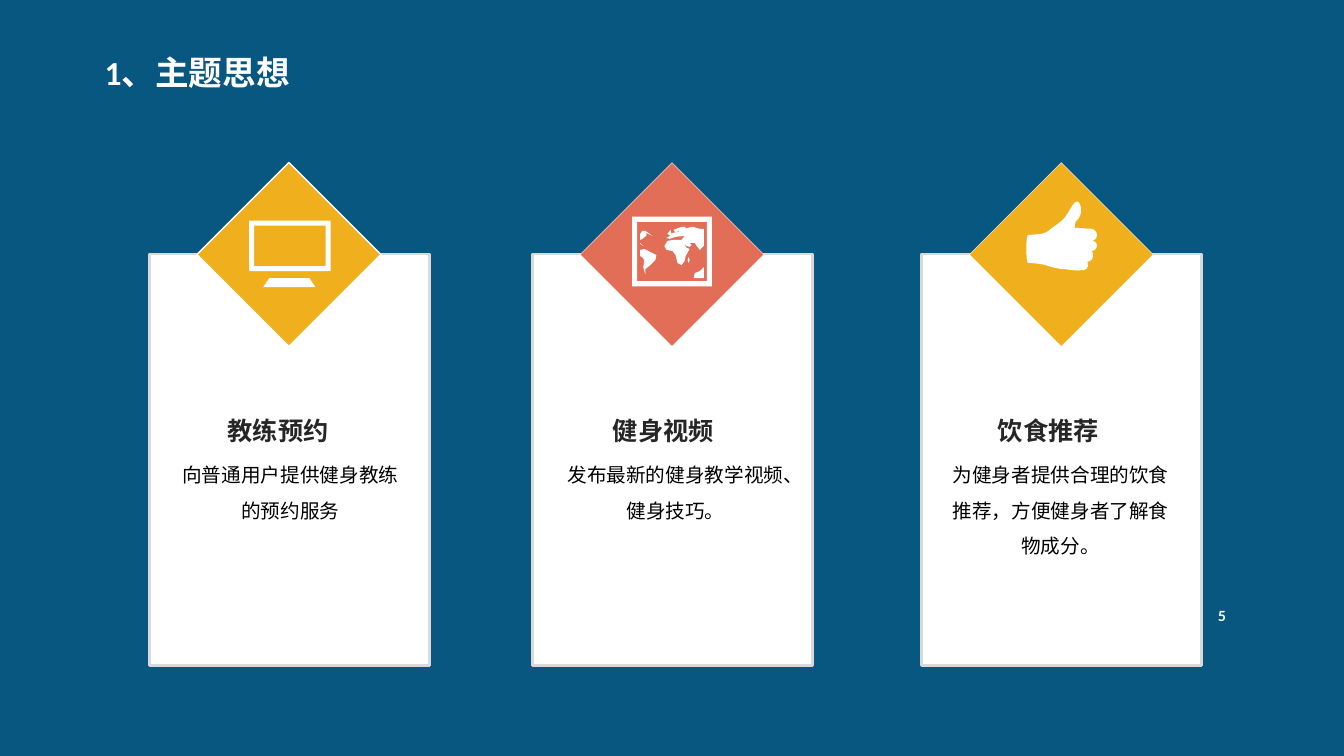
from dataclasses import dataclass

from lxml import etree
from pptx import Presentation
from pptx import util as u
from pptx.dml.color import RGBColor
from pptx.enum import shapes, text
from pptx.oxml.ns import qn

PX = 9144  # 100 px to the inch


@dataclass(frozen=True)
class Theme:
    back: str = "085780"
    white: str = "FFFFFF"
    edge: str = "D9D9D9"
    gold: str = "F0AF1D"
    coral: str = "E36E57"
    dark: str = "262626"
    black: str = "000000"
    cjk: str = "Noto Sans CJK SC"
    title: int = 24
    head: int = 18
    body: int = 14
    page: int = 10


class Deck:
    def __init__(self, theme):
        self.theme = theme
        self.prs = Presentation()
        self.prs.slide_width, self.prs.slide_height = 1333 * PX, 750 * PX
        self.slide = self.prs.slides.add_slide(self.prs.slide_layouts[6])
        self.paint(self.slide.background.fill, theme.back)

    def paint(self, fill, color):
        fill.solid()
        fill.fore_color.rgb = RGBColor.from_string(color)

    def box(self, x, y, w, h, fill, line, width, turn=0):
        shape = self.slide.shapes.add_shape(
            shapes.MSO_SHAPE.RECTANGLE, x * PX, y * PX, w * PX, h * PX)
        shape.shadow.inherit = False
        shape.rotation = turn
        self.paint(shape.fill, fill)
        self.paint(shape.line.fill, line)
        shape.line.width = u.Pt(width)

    def icon(self, loops):
        """Draw closed loops as one white outline; inner loops cut holes."""
        pen = None
        for loop in loops:
            dots = [(round(x * PX), round(y * PX)) for x, y in loop]
            if pen is None:
                pen = self.slide.shapes.build_freeform(*dots[0], scale=1.0)
            else:
                pen.move_to(*dots[0])
            pen.add_line_segments(dots[1:], close=True)
        shape = pen.convert_to_shape()
        shape.shadow.inherit = False
        self.paint(shape.fill, self.theme.white)
        shape.line.fill.background()

    def text(self, x, y, w, h, words, size, color, font=None, bold=False,
             center=False, middle=False, space=None):
        frame = self.slide.shapes.add_textbox(x * PX, y * PX, w * PX, h * PX).text_frame
        frame.word_wrap = True
        if middle:
            frame.vertical_anchor = text.MSO_ANCHOR.MIDDLE
        para = frame.paragraphs[0]
        if center:
            para.alignment = text.PP_ALIGN.CENTER
        if space:
            para.line_spacing = space
        run = para.add_run()
        run.text = words
        run.font.size, run.font.bold = u.Pt(size), bold
        run.font.name = font or self.theme.cjk
        run.font.color.rgb = RGBColor.from_string(color)
        east = etree.SubElement(run.font._element, qn("a:ea"))
        east.set("typeface", self.theme.cjk)


def rect(x, y, w, h):
    return [(x, y), (x + w, y), (x + w, y + h), (x, y + h)]


def curve(dots, steps=6):
    """Flatten a chain of cubic curves: a start, then three dots a curve."""
    path = [dots[0]]
    for i in range(0, len(dots) - 1, 3):
        a, b, c, d = dots[i:i + 4]
        for k in range(1, steps + 1):
            t = k / steps
            s = 1 - t
            path.append(tuple(
                s**3 * p + 3 * s * s * t * q + 3 * s * t * t * r + t**3 * v
                for p, q, r, v in zip(a, b, c, d)))
    return path


SCREEN = [
    [(267, 276), (261, 285), (313, 285), (307, 276)],
    rect(247, 219, 81, 50), rect(252, 224, 71, 40),
]

MAP = [
    rect(627, 215, 79, 69), rect(632, 220, 69, 59),
    [(640, 272), (640, 267), (645, 263), (650, 258), (651, 253), (645, 250),
     (639, 247), (635, 248), (635, 254), (638, 256), (639, 259), (638, 265)],
    [(641, 234), (641, 231), (647, 234), (640, 229), (637, 229), (635, 232),
     (635, 238), (637, 237)],
    [(683, 261), (684, 258), (683, 255), (682, 258)],
    [(667, 249), (670, 253), (672, 261), (676, 263), (679, 259), (680, 254),
     (684, 247), (681, 246), (678, 241), (681, 244), (684, 245), (686, 243),
     (684, 241), (689, 241), (691, 244), (694, 248), (698, 244), (698, 227),
     (694, 227), (687, 225), (678, 227), (680, 226), (680, 225), (676, 225),
     (668, 228), (670, 231), (674, 228), (673, 230), (668, 231), (666, 232),
     (665, 228), (662, 232), (665, 234), (661, 236), (664, 237), (670, 235),
     (679, 234), (676, 238), (668, 238), (662, 239), (659, 244), (661, 248)],
    [(689, 271), (688, 276), (698, 276), (698, 265), (694, 269)],
    [(638, 244), (635, 241), (635, 242)],
]

THUMB = [curve([
    (1083, 239), (1086, 238), (1088, 237), (1088, 233),
    (1088, 230), (1085, 227), (1082, 227),
    (1077, 227), (1071, 226), (1066, 226),
    (1066, 224), (1066, 223), (1067, 220),
    (1071, 216), (1073, 212), (1072, 206),
    (1072, 204), (1070, 200), (1069, 200),
    (1066, 200), (1065, 202), (1063, 205),
    (1061, 208), (1061, 209), (1058, 213),
    (1056, 216), (1056, 217), (1048, 223),
    (1040, 228), (1041, 230), (1033, 232),
    (1031, 232), (1026, 233), (1020, 233),
    (1019, 233), (1018, 236), (1018, 247),
    (1018, 258), (1019, 261), (1020, 261),
    (1027, 261), (1033, 262), (1037, 263),
    (1042, 265), (1050, 267), (1056, 267),
    (1067, 269), (1071, 268), (1075, 268),
    (1077, 267), (1078, 267), (1079, 264),
    (1079, 262), (1079, 260), (1078, 260),
    (1082, 259), (1084, 257), (1084, 254),
    (1084, 252), (1084, 250), (1082, 249),
    (1085, 249), (1087, 248), (1088, 244),
    (1088, 241), (1086, 239), (1083, 239),
])]


def main():
    t = Theme()
    deck = Deck(t)
    deck.text(94, 47, 328, 50, "1、主题思想", t.title, t.white, "Calibri", bold=True)
    deck.text(1184, 595, 56, 33, "5", t.page, t.white, "Lato", bold=True,
              center=True, middle=True)
    cards = [
        (148, t.gold, 1, SCREEN, "教练预约", "向普通用户提供健身教练的预约服务"),
        (528, t.coral, 0.25, MAP, "健身视频", "发布最新的健身教学视频、健身技巧。"),
        (914, t.gold, 0.25, THUMB, "饮食推荐",
         "为健身者提供合理的饮食推荐，方便健身者了解食物成分。"),
    ]
    for i, (x, color, width, loops, head, body) in enumerate(cards):
        deck.box(x, 252, 278, 408, t.white, t.edge, 2)
        deck.box(x + 74, 188, 129, 129, color, t.white, width, turn=225)
        deck.icon(loops)
        step = 382 * i
        deck.text(162 + step, 443, 252, 81, body, t.body, t.black,
                  center=True, space=1.5)
        deck.text(216 + step, 407, 147, 40, head, t.head, t.dark, bold=True)
    deck.prs.save("out.pptx")


if __name__ == "__main__":
    main()
